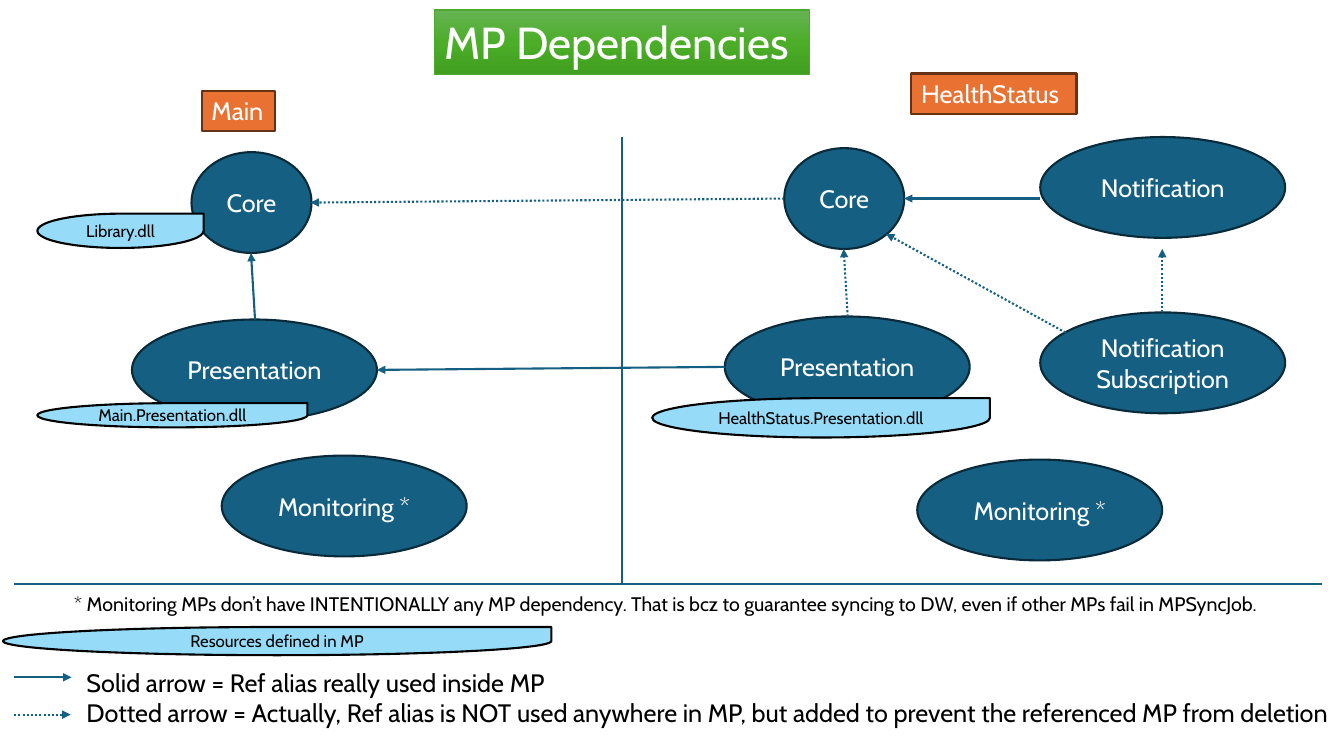
from copy import deepcopy

from lxml import etree
from pptx import Presentation, util as u
from pptx.dml.color import RGBColor
from pptx.enum import dml, shapes, text
from pptx.oxml.ns import qn

GRID = u.Inches(0.1)
COLUMNS, ROWS = 133.33, 75
FONT = "Cabin"

WHITE = RGBColor(0xFF, 0xFF, 0xFF)
BLACK = RGBColor(0, 0, 0)
BLUE = RGBColor(0x15, 0x60, 0x82)
NAVY = RGBColor(0x09, 0x2A, 0x39)
ORANGE = RGBColor(0xE9, 0x71, 0x32)
BROWN = RGBColor(0x66, 0x32, 0x16)
SKY = RGBColor(0x96, 0xDC, 0xF8)
GREEN = RGBColor(0x4E, 0xA7, 0x2E)
GREEN_SHADES = (
    RGBColor(0x66, 0xB3, 0x54),
    RGBColor(0x4B, 0xAD, 0x28),
    RGBColor(0x40, 0x9F, 0x1E),
)

ELLIPSE = shapes.MSO_SHAPE.OVAL
RECTANGLE = shapes.MSO_SHAPE.RECTANGLE
TEARDROP = shapes.MSO_SHAPE.TEAR
LEFT, CENTER = text.PP_ALIGN.LEFT, text.PP_ALIGN.CENTER
TOP, MIDDLE = text.MSO_ANCHOR.TOP, text.MSO_ANCHOR.MIDDLE

WIDE, ROUND, HIGH = 24.3, 11.9, 10


def cells(*values):
    return [round(value * GRID) for value in values]


def write(box, words, size, color, align=LEFT, anchor=TOP, wrap=True):
    frame = box.text_frame
    frame.text = words
    frame.word_wrap = wrap
    frame.auto_size = text.MSO_AUTO_SIZE.NONE
    frame.vertical_anchor = anchor
    for para in frame.paragraphs:
        para.alignment = align
        for span in para.runs:
            span.font.name = FONT
            span.font.size = u.Pt(size)
            span.font.color.rgb = color


def add_figure(page, kind, place, fill, line):
    figure = page.shapes.add_shape(kind, *cells(*place))
    figure.shadow.inherit = False
    figure.fill.solid()
    figure.fill.fore_color.rgb = fill
    figure.line.color.rgb = line
    figure.line.width = u.Pt(1.5)
    return figure


def add_pack(page, words, column, row, width=WIDE):
    pack = add_figure(page, ELLIPSE, (column, row, width, HIGH), BLUE, NAVY)
    write(pack, words, 18, WHITE, CENTER, MIDDLE)


def add_heading(page, words, column, row, width):
    heading = add_figure(page, RECTANGLE, (column, row, width, 4), ORANGE, BROWN)
    write(heading, words, 18, WHITE, wrap=False)


def add_resource(page, words, *place):
    resource = add_figure(page, TEARDROP, place, SKY, BLACK)
    write(resource, words, 12, BLACK, CENTER, MIDDLE)


def add_label(page, words, place, size, align=LEFT, wrap=True):
    label = page.shapes.add_textbox(*cells(*place))
    write(label, words, size, BLACK, align, wrap=wrap)


def add_line(page, start, end, arrow=False, dotted=False):
    line = page.shapes.add_connector(
        shapes.MSO_CONNECTOR.STRAIGHT, *cells(*start, *end))
    line.line.color.rgb = BLUE
    line.line.width = u.Pt(1.5)
    if dotted:
        line.line.dash_style = dml.MSO_LINE.ROUND_DOT
    properties = line._element.spPr
    if arrow:
        outline = properties.find(qn("a:ln"))
        etree.SubElement(outline, qn("a:tailEnd"), type="triangle")
    etree.SubElement(properties, qn("a:effectLst"))


def set_title(page, words):
    title = page.shapes.title
    title.left, title.top, title.width, title.height = cells(43.1, 1, 37.2, 6.4)
    write(title, words, 32, WHITE, wrap=False)
    title.fill.gradient()
    title.fill.gradient_angle = 270
    stops = title._element.spPr.find(".//" + qn("a:gsLst"))
    stops.insert(1, deepcopy(stops[0]))
    for index, stop in enumerate(title.fill.gradient_stops):
        stop.position = index / 2
        stop.color.rgb = GREEN_SHADES[index]
    title.line.color.rgb = GREEN
    title.line.width = u.Pt(1)


def main():
    deck = Presentation()
    deck.slide_width, deck.slide_height = cells(COLUMNS, ROWS)
    page = deck.slides.add_slide(deck.slide_layouts[5])
    set_title(page, "MP Dependencies")

    add_line(page, (61.7, 13.6), (61.7, 57.9))
    add_line(page, (1.4, 57.9), (131.2, 57.9))
    add_heading(page, "Main", 20, 9, 7.3)
    add_heading(page, "HealthStatus", 90.4, 7.3, 16.4)

    add_pack(page, "Core", 19, 15.1, ROUND)
    add_pack(page, "Core", 77.8, 14.7, ROUND)
    for words, column, row in (
        ("Presentation", 13.1, 31.7),
        ("Monitoring *", 22, 45.2),
        ("Presentation", 71.9, 31.4),
        ("Monitoring *", 91, 45.6),
        ("Notification", 103.2, 13.6),
        ("Notification Subscription", 103.2, 31),
    ):
        add_pack(page, words, column, row)

    for start, end, dotted in (
        ((71.9, 36.4), (37.4, 36.7), False),
        ((25.3, 31.7), (24.9, 25.1), False),
        ((103.2, 19.7), (89.7, 19.7), False),
        ((1.4, 67.2), (7.1, 67.2), False),
        ((77.8, 19.7), (30.8, 20.1), True),
        ((84.1, 31.4), (83.7, 24.7), True),
        ((106.8, 33.6), (87.9, 23.2), True),
        ((115.3, 31), (115.3, 24.7), True),
        ((1.4, 70.9), (7, 70.9), True),
    ):
        add_line(page, start, end, arrow=True, dotted=dotted)

    add_resource(page, "Library.dll", 3.7, 21.2, 16.5, 3.4)
    add_resource(page, "Main.Presentation.dll", 3.7, 40, 26.8, 2.4)
    add_resource(page, "HealthStatus.Presentation.dll", 64.7, 39.5, 33.5, 3.9)
    add_resource(page, "Resources defined in MP", 0.3, 62.2, 54.4, 2.8)

    add_label(page, "* Monitoring MPs don’t have INTENTIONALLY any MP dependency. "
              "That is bcz to guarantee syncing to DW, even if other MPs fail in "
              "MPSyncJob.", (1.7, 58.2, 128.7, 3.4), 14, CENTER)
    add_label(page, "Solid arrow = Ref alias really used inside MP\n"
              "Dotted arrow = Actually, Ref alias is NOT used anywhere in MP, "
              "but added to prevent the referenced MP from deletion",
              (7.6, 65.7, 125.7, 7.1), 18, wrap=False)

    deck.save("out.pptx")


if __name__ == "__main__":
    main()
